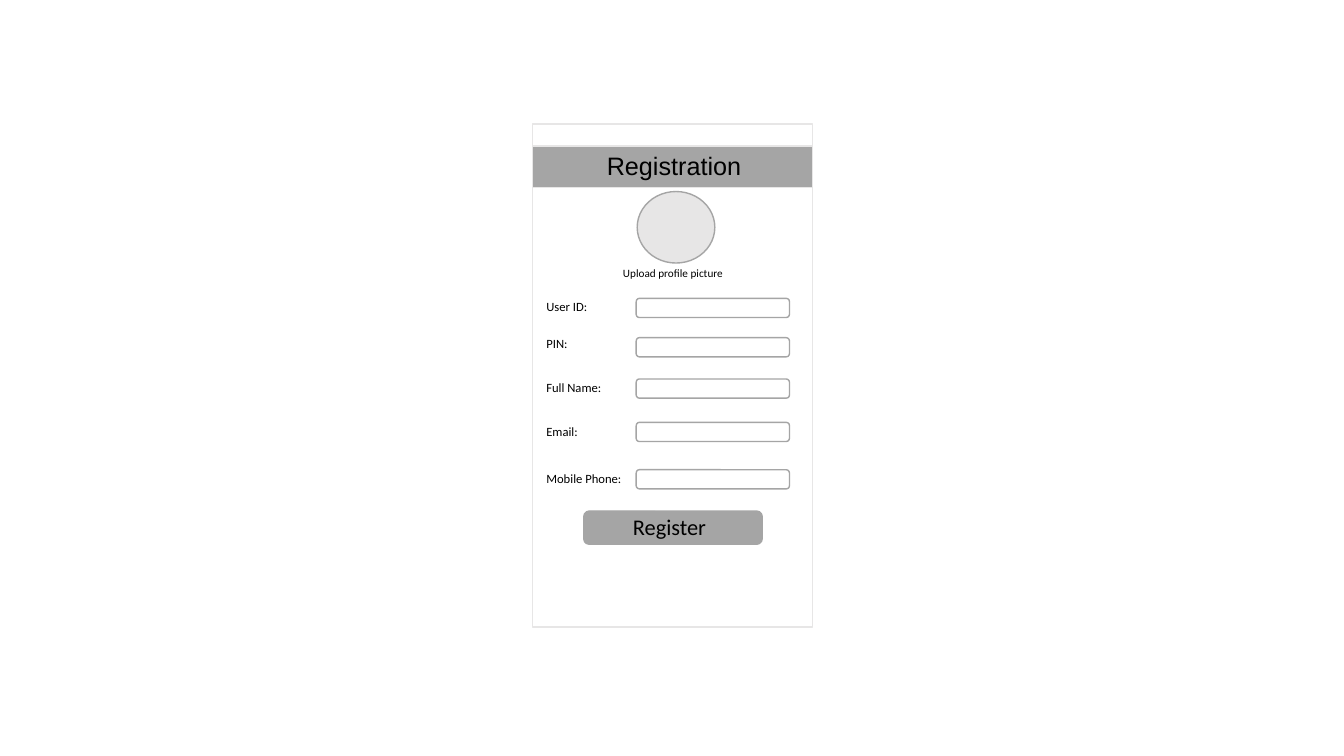
import pptx
import pptx.dml.color
import pptx.enum.shapes
import pptx.enum.text
import pptx.util

PX = 9144  # EMU in one px, 100 px to the inch
COLORS = {"white": "FFFFFF", "light": "E7E6E6", "gray": "A5A5A5", "black": "000000"}
SHAPES = pptx.enum.shapes.MSO_SHAPE

# label, label top, input top
FIELDS = [
    ("User ID:", 292, 296),
    ("PIN:", 328, 335),
    ("Full Name:", 372, 376),
    ("Email:", 416, 419),
    ("Mobile Phone:", 462, 466),
]


def rgb(name):
    return pptx.dml.color.RGBColor.from_string(COLORS[name])


def emu(*lengths):
    return [pptx.util.Emu(n * PX) for n in lengths]


def add_box(slide, kind, x, y, w, h, fill, line):
    sp = slide.shapes.add_shape(kind, *emu(x, y, w, h))
    sp.shadow.inherit = False
    sp.fill.solid()
    sp.fill.fore_color.rgb = rgb(fill)
    sp.line.color.rgb = rgb(line)
    sp.line.width = pptx.util.Pt(1)
    return sp


def add_text(slide, text, x, y, w, h, size=9, font="Calibri", color="black"):
    sp = slide.shapes.add_textbox(*emu(x, y, w, h))
    tf = sp.text_frame
    tf.word_wrap = True
    tf.auto_size = pptx.enum.text.MSO_AUTO_SIZE.SHAPE_TO_FIT_TEXT
    r = tf.paragraphs[0].add_run()
    r.text = text
    r.font.size = pptx.util.Pt(size)
    r.font.name = font
    r.font.color.rgb = rgb(color)
    return sp


def add_field(slide, label, label_y, input_y):
    add_text(slide, label, 532, label_y, 129, 25)
    add_box(slide, SHAPES.ROUNDED_RECTANGLE, 631, input_y, 152, 19, "white", "gray")


def main():
    prs = pptx.Presentation()
    prs.slide_width, prs.slide_height = emu(1333, 750)
    slide = prs.slides.add_slide(prs.slide_layouts[6])

    add_box(slide, SHAPES.RECTANGLE, 528, 123, 278, 499, "white", "light")
    add_box(slide, SHAPES.RECTANGLE, 528, 145, 278, 41, "gray", "light")
    add_text(slide, "Registration", 592, 144, 266, 41, size=18, font="Arial")

    for field in FIELDS:
        add_field(slide, *field)

    add_box(slide, SHAPES.ROUNDED_RECTANGLE, 579, 507, 177, 33, "gray", "gray")
    add_text(slide, "Register", 618, 504, 173, 37, size=16)

    add_box(slide, SHAPES.OVAL, 632, 190, 77, 71, "light", "gray")
    add_text(slide, "Upload profile picture", 608, 259, 142, 24, size=8)

    prs.save("out.pptx")


if __name__ == "__main__":
    main()
